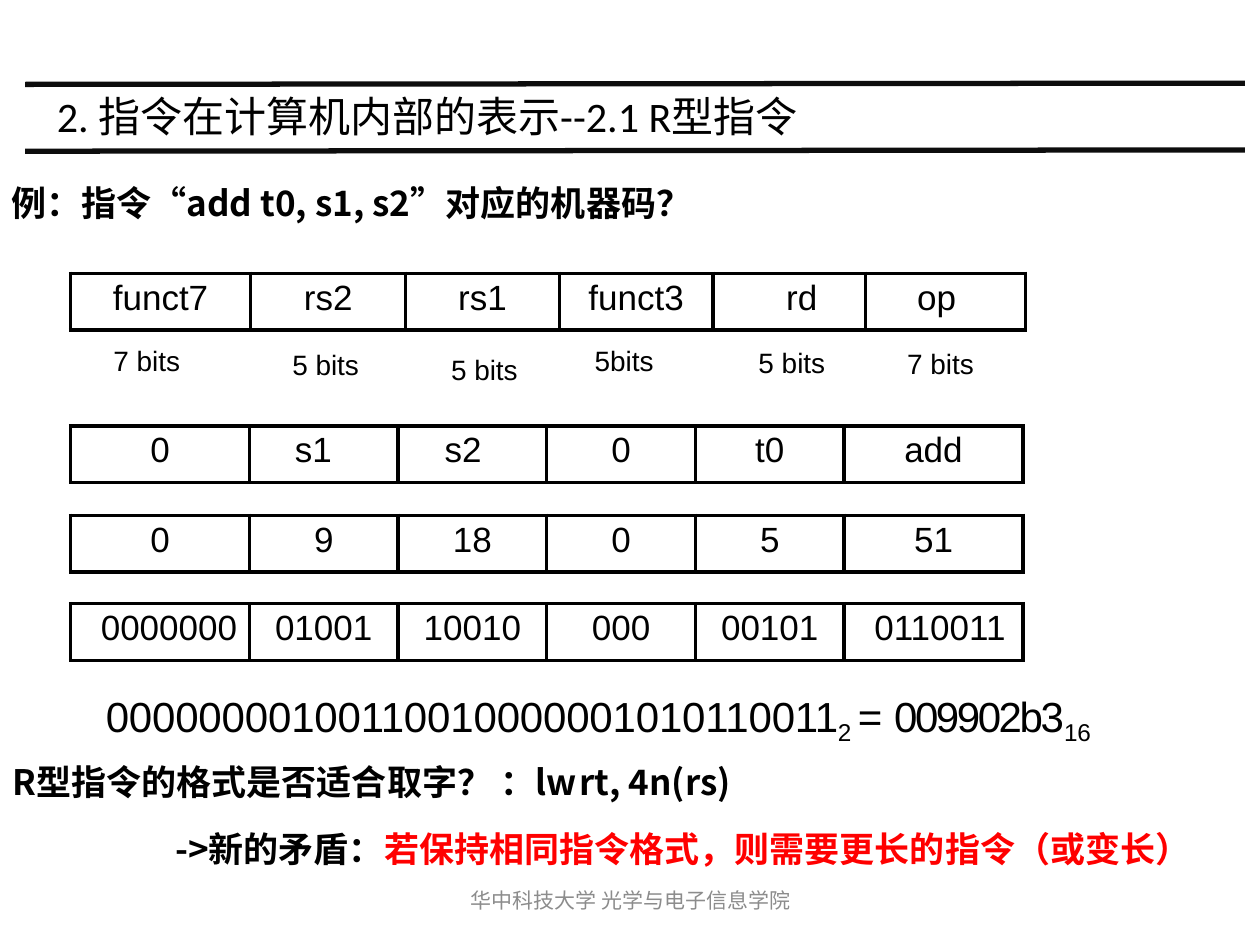
"""Build the slide on encoding the R-type add instruction."""
from dataclasses import dataclass

from lxml.etree import SubElement
from pptx import Presentation
from pptx.dml.color import RGBColor
from pptx.enum.shapes import MSO_CONNECTOR as Connector
from pptx.enum.text import MSO_ANCHOR as Anchor, PP_ALIGN as Align
from pptx.oxml.ns import qn
from pptx.util import Inches, Pt


@dataclass(frozen=True)
class Theme:
    black: str = "000000"
    rule: str = "0D0D0D"
    red: str = "FF0000"
    gray: str = "8C8C8C"
    heading_font: str = "Calibri"
    data_font: str = "Arial"
    body_font: str = "Noto Sans CJK SC"
    heading_size: int = 24
    body_size: int = 20
    label_size: int = 16
    footer_size: int = 12


theme = Theme()


def style_paragraph(paragraph, font_name, size, color=theme.black, bold=False, indent=0, align=Align.LEFT):
    paragraph.alignment = align
    properties = paragraph._p.get_or_add_pPr()
    properties.set("marL", str(Inches(indent)))
    properties.set("indent", "0")
    font = paragraph.font
    font.name, font.size, font.bold = font_name, Pt(size), bold
    font.color.rgb = RGBColor.from_string(color)
    SubElement(properties.find(qn("a:defRPr")), qn("a:ea"), typeface=theme.body_font)


def prepare_frame(shape, left, top, width, height, inset=0.01, anchor=Anchor.TOP):
    shape.left, shape.top, shape.width, shape.height = map(Inches, (left, top, width, height))
    frame = shape.text_frame
    frame.word_wrap = True
    frame.vertical_anchor = anchor
    frame.margin_left = frame.margin_right = frame.margin_bottom = 0
    frame.margin_top = Inches(inset)
    return frame


presentation = Presentation()
presentation.slide_width, presentation.slide_height = Inches(10), Inches(7.5)
slide = presentation.slides.add_slide(presentation.slide_layouts[5])

title = prepare_frame(slide.shapes.title, 0.28, 0.7, 6.22, 0.43, anchor=Anchor.MIDDLE)
title.text = "2. 指令在计算机内部的表示--2.1 R型指令"
style_paragraph(title.paragraphs[0], theme.heading_font, theme.heading_size, align=Align.CENTER)

for y in (0.67, 1.2):
    line = slide.shapes.add_connector(Connector.STRAIGHT, Inches(0.2), Inches(y), Inches(9.88), Inches(y - 0.01))
    line.line.width = Pt(3)
    line.line.color.rgb = RGBColor.from_string(theme.rule)
    SubElement(line._element.spPr, qn("a:effectLst"))

question = prepare_frame(slide.shapes.add_textbox(0, 0, 0, 0), 0.09, 1.43, 6, 0.35)
question.text = "例：指令“add t0, s1, s2”对应的机器码？"
style_paragraph(question.paragraphs[0], theme.body_font, theme.body_size, bold=True)

bit_labels = [
    (0.9, 2.72, "7 bits"), (2.32, 2.75, "5 bits"), (3.58, 2.79, "5 bits"),
    (4.72, 2.72, "5bits"), (6.02, 2.73, "5 bits"), (7.2, 2.74, "7 bits"),
]
for left, top, text in bit_labels:
    label = prepare_frame(slide.shapes.add_textbox(0, 0, 0, 0), left, top, 0.6, 0.28)
    label.text = text
    style_paragraph(label.paragraphs[0], theme.data_font, theme.label_size)

field_widths = [1.43, 1.23, 1.22, 1.22, 1.21, 1.27]
value_widths = [1.42, 1.18, 1.18, 1.18, 1.18, 1.42]
row_height = 0.45
instruction_rows = [
    (2.17, field_widths, ["funct7", "rs2", "rs1", "funct3", ("rd", 0.58), ("op", 0.41)]),
    (3.38, value_widths, ["0", ("s1", 0.36), ("s2", 0.37), "0", "t0", "add"]),
    (4.09, value_widths, ["0", "9", "18", "0", "5", "51"]),
    (4.79, value_widths, [("0000000", 0.24), "01001", "10010", "000", "00101", ("0110011", 0.24)]),
]
for top, widths, entries in instruction_rows:
    table = slide.shapes.add_table(
        1, len(widths), Inches(0.56), Inches(top), Inches(sum(widths)), Inches(row_height)
    ).table
    table.first_row = table.horz_banding = False
    for column, width, cell, entry in zip(table.columns, widths, table.rows[0].cells, entries):
        column.width = Inches(width)
        text, indent = (entry, 0) if isinstance(entry, str) else entry
        cell.text = text
        cell.margin_left = cell.margin_right = cell.margin_bottom = 0
        cell.margin_top = Inches(0.04)
        style_paragraph(
            cell.text_frame.paragraphs[0], theme.data_font, theme.body_size,
            indent=indent, align=Align.LEFT if indent else Align.CENTER,
        )
        cell_properties = cell._tc.get_or_add_tcPr()
        for side in ("lnL", "lnR", "lnT", "lnB"):
            border = SubElement(cell_properties, qn(f"a:{side}"), w=str(Pt(2.25)))
            SubElement(SubElement(border, qn("a:solidFill")), qn("a:srgbClr"), val=theme.black)
        cell.fill.background()

conclusion = prepare_frame(slide.shapes.add_textbox(0, 0, 0, 0), 0.04, 5.33, 9.8, 1.54, inset=0.15)
machine_code = conclusion.paragraphs[0]
style_paragraph(machine_code, theme.data_font, theme.heading_size, indent=0.8)
code_runs = [
    ("00000000100110010000001010110011", -10, 0), ("2 ", -10, -21000),
    ("= ", 0, 0), ("009902b3", -140, 0), ("16", -10, -21000),
]
for text, spacing, baseline in code_runs:
    run = machine_code.add_run()
    run.text = text
    run_properties = run._r.get_or_add_rPr()
    run_properties.set("spc", str(spacing))
    run_properties.set("baseline", str(baseline))

load_word = conclusion.add_paragraph()
load_word.add_run().text = "R型指令的格式是否适合取字？ ：lw\trt, 4n(rs)"
load_word.space_before = Pt(8.2)
tab_list = SubElement(load_word._p.get_or_add_pPr(), qn("a:tabLst"))
SubElement(tab_list, qn("a:tab"), pos=str(Inches(5.06)), algn="l")
style_paragraph(load_word, theme.body_font, theme.body_size, bold=True, indent=0.06)

conflict = conclusion.add_paragraph()
conflict.space_before = Pt(14.1)
style_paragraph(conflict, theme.body_font, theme.body_size, bold=True, indent=1.35)
conflict.add_run().text = "->新的矛盾："
answer = conflict.add_run()
answer.text = "若保持相同指令格式，则需要更长的指令（或变长）"
answer.font.color.rgb = RGBColor.from_string(theme.red)

footer = prepare_frame(
    slide.shapes.add_textbox(0, 0, 0, 0), 3.42, 6.95, 3.17, 0.4, inset=0, anchor=Anchor.MIDDLE
).paragraphs[0]
footer.line_spacing = Pt(13.7)
style_paragraph(footer, theme.heading_font, theme.footer_size, theme.gray, align=Align.CENTER)
for text, spacing in (("华中科技大", 0), ("学", 280), ("光学与电子信息学院", 0)):
    run = footer.add_run()
    run.text = text
    run._r.get_or_add_rPr().set("spc", str(spacing))

presentation.save("out.pptx")
